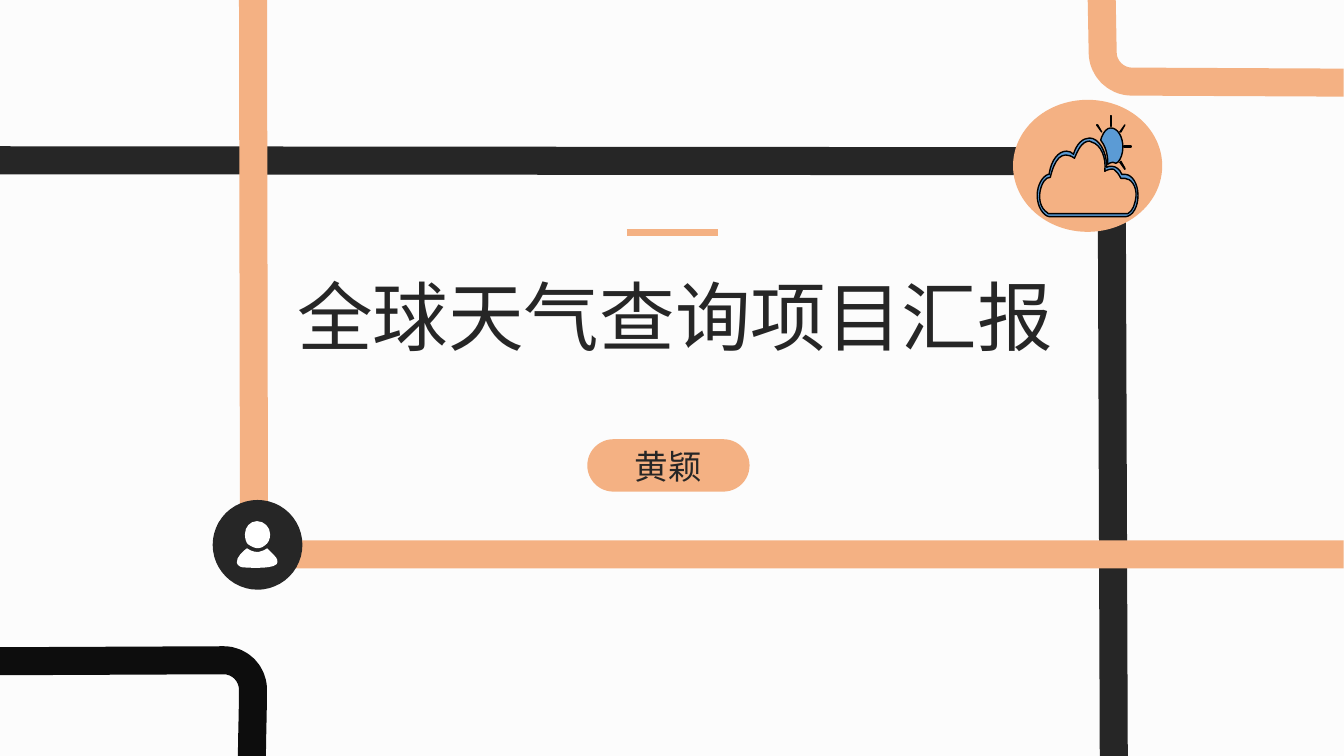
from lxml.etree import SubElement
from pptx import Presentation
from pptx.dml.color import RGBColor
from pptx.enum.shapes import MSO_CONNECTOR, MSO_SHAPE
from pptx.enum.text import MSO_AUTO_SIZE, PP_ALIGN
from pptx.oxml.ns import qn
from pptx.util import Pt

PAPER = RGBColor(0xFC, 0xFC, 0xFC)
CHARCOAL = RGBColor(0x26, 0x26, 0x26)
INK = RGBColor(0x0D, 0x0D, 0x0D)
PEACH = RGBColor(0xF4, 0xB1, 0x83)
SKY = RGBColor(0x5B, 0x9B, 0xD5)
WHITE = RGBColor(0xFF, 0xFF, 0xFF)
BLACK = RGBColor(0, 0, 0)
FONT = "Noto Sans CJK SC"
GRID = Pt(0.72)  # one step of the outline coordinates


def add_outline(shapes, contours, closed, fill=None, line=None, width=0):
    """Each contour lists (x, y) corners and six-number Bezier curves."""
    builder = shapes.build_freeform(*contours[0][0], scale=GRID)
    for number, (start, *segments) in enumerate(contours):
        if number:
            builder.move_to(*start)
        builder.add_line_segments([segment[-2:] for segment in segments], close=closed)
    outline = builder.convert_to_shape()
    # Bend the straight segments that have control points
    left = min(point[-2] for contour in contours for point in contour)
    top = min(point[-1] for contour in contours for point in contour)
    segments = [segment for contour in contours for segment in contour[1:]]
    for edge, segment in zip(list(outline._element.iter(qn("a:lnTo"))), segments):
        if len(segment) == 6:
            edge.tag = qn("a:cubicBezTo")
            edge.remove(edge[0])
            for x, y in zip(segment[::2], segment[1::2]):
                SubElement(edge, qn("a:pt"), x=str(x - left), y=str(y - top))
    paint(outline, fill, line, width)


def paint(shape, fill=None, line=None, width=0):
    shape.shadow.inherit = False
    for part, color in ((shape.fill, fill), (shape.line.fill, line)):
        if color is None:
            part.background()
        else:
            part.solid()
            part.fore_color.rgb = color
    if line is not None:
        shape.line.width = Pt(width)


deck = Presentation()
deck.slide_width, deck.slide_height = Pt(960), Pt(540)
slide = deck.slides.add_slide(deck.slide_layouts[6])
shapes = slide.shapes
slide.background.fill.solid()
slide.background.fill.fore_color.rgb = PAPER

# Roads with rounded bends
roads = [
    (CHARCOAL, [(-1, 159), (1074, 160), (1090, 160, 1103, 173, 1103, 189), (1105, 752)]),
    (PEACH, [(1333, 550), (282, 550), (265, 550, 252, 537, 252, 521), (251, -3)]),
    (INK, [(-2, 656), (222, 655), (238, 655, 251, 668, 251, 684),
           (251, 708, 250, 731, 250, 754)]),
    (PEACH, [(1333, 82), (1123, 81), (1107, 81, 1094, 68, 1094, 52), (1093, -2)]),
]
for color, road in roads:
    add_outline(shapes, [road], closed=False, line=color, width=20)

# Presenter badge
badge = shapes.add_group_shape().shapes
paint(badge.add_shape(MSO_SHAPE.OVAL, Pt(151.92), Pt(357.12), Pt(64.08), Pt(64.08)), CHARCOAL)
head = [(263, 541), (266, 539, 268, 535, 268, 530), (268, 523, 262, 517, 255, 517),
        (248, 517, 243, 523, 243, 530), (243, 534, 244, 538, 246, 540),
        (247, 540, 255, 548, 263, 541)]
shoulders = [(272, 551), (265, 544, 265, 544, 265, 544), (262, 546, 255, 551, 245, 544),
             (242, 546, 234, 553, 235, 558), (235, 558, 235, 563, 243, 563),
             (243, 563, 269, 565, 274, 560), (274, 560, 278, 557, 272, 551)]
add_outline(badge, [head, shoulders], closed=True, fill=WHITE)

# Title and presenter name
pill = shapes.add_shape(MSO_SHAPE.ROUNDED_RECTANGLE,
                        Pt(419.5), Pt(313.7), Pt(115.92), Pt(37.44))
pill.adjustments[0] = 0.5
paint(pill, PEACH)
labels = [
    ("全球天气查询项目汇报", (205.2, 189.36, 569.52, 72.72), 54, True, PP_ALIGN.JUSTIFY),
    ("黄颖", (446.4, 314.64, 62.64, 36), 24, False, PP_ALIGN.LEFT),
]
for text, box, size, wrap, align in labels:
    frame = shapes.add_textbox(*map(Pt, box)).text_frame
    frame.word_wrap = wrap
    frame.auto_size = MSO_AUTO_SIZE.SHAPE_TO_FIT_TEXT
    paragraph = frame.paragraphs[0]
    paragraph.alignment = align
    run = paragraph.add_run()
    run.text = text
    for attribute, value in {"name": FONT, "size": Pt(size)}.items():
        setattr(run.font, attribute, value)
    run.font.color.rgb = CHARCOAL
    SubElement(run._r.get_or_add_rPr(), qn("a:ea"), typeface=FONT)

# Accent rule above the title
accent = shapes.add_connector(MSO_CONNECTOR.STRAIGHT,
                              Pt(447.84), Pt(166.1), Pt(512.64), Pt(166.1))
accent.line.color.rgb = PEACH
accent.line.width = Pt(4.5)
SubElement(accent._element.spPr, qn("a:effectLst"))

# Weather badge
paint(shapes.add_shape(MSO_SHAPE.OVAL, Pt(723.6), Pt(71.28), Pt(106.56), Pt(94.32)), PEACH)
cloud_inside = [
    (1081, 140), (1082, 140, 1082, 141, 1083, 141), (1092, 143, 1098, 157, 1096, 170),
    (1097, 169, 1103, 167, 1105, 168), (1108, 170, 1110, 173, 1112, 177), (1116, 177),
    (1122, 177, 1128, 185, 1127, 195), (1126, 203, 1124, 209, 1119, 212), (1118, 212),
    (1040, 212), (1039, 211), (1025, 202, 1033, 175, 1042, 176),
    (1046, 159, 1053, 148, 1066, 157), (1069, 150, 1073, 140, 1081, 140)]
cloud_edge = [
    (1081, 137), (1074, 137, 1068, 143, 1065, 153), (1063, 151, 1061, 150, 1058, 150),
    (1050, 150, 1043, 159, 1041, 172), (1041, 173), (1040, 173),
    (1034, 175, 1029, 184, 1029, 194), (1029, 205, 1035, 214, 1041, 215), (1117, 215),
    (1124, 214, 1129, 205, 1129, 194), (1129, 182, 1123, 173, 1116, 173), (1113, 173),
    (1111, 168, 1107, 165, 1103, 165), (1101, 165, 1099, 165, 1098, 166),
    (1098, 150, 1090, 137, 1081, 137)]
sun = [
    (1102, 127), (1098, 127, 1095, 131, 1093, 136), (1092, 139),
    (1096, 144, 1099, 152, 1099, 161), (1099, 162, 1099, 162, 1099, 163),
    (1101, 162, 1102, 161, 1104, 161), (1105, 161, 1106, 162, 1107, 162), (1109, 161),
    (1112, 158, 1114, 152, 1114, 146), (1114, 136, 1109, 127, 1102, 127)]
rays = [
    [(1112, 160), (1112, 161), (1111, 161), (1116, 168), (1116, 167)],
    [(1122, 145), (1115, 145), (1115, 146), (1122, 146)],
    [(1089, 124), (1088, 124), (1093, 131)],
    [(1116, 124), (1111, 131), (1112, 131)],
    [(1103, 115), (1102, 115), (1102, 125), (1103, 125)],
]
add_outline(shapes, [cloud_inside, cloud_edge, sun, *rays], closed=True,
            fill=SKY, line=BLACK, width=1)

deck.save("out.pptx")
